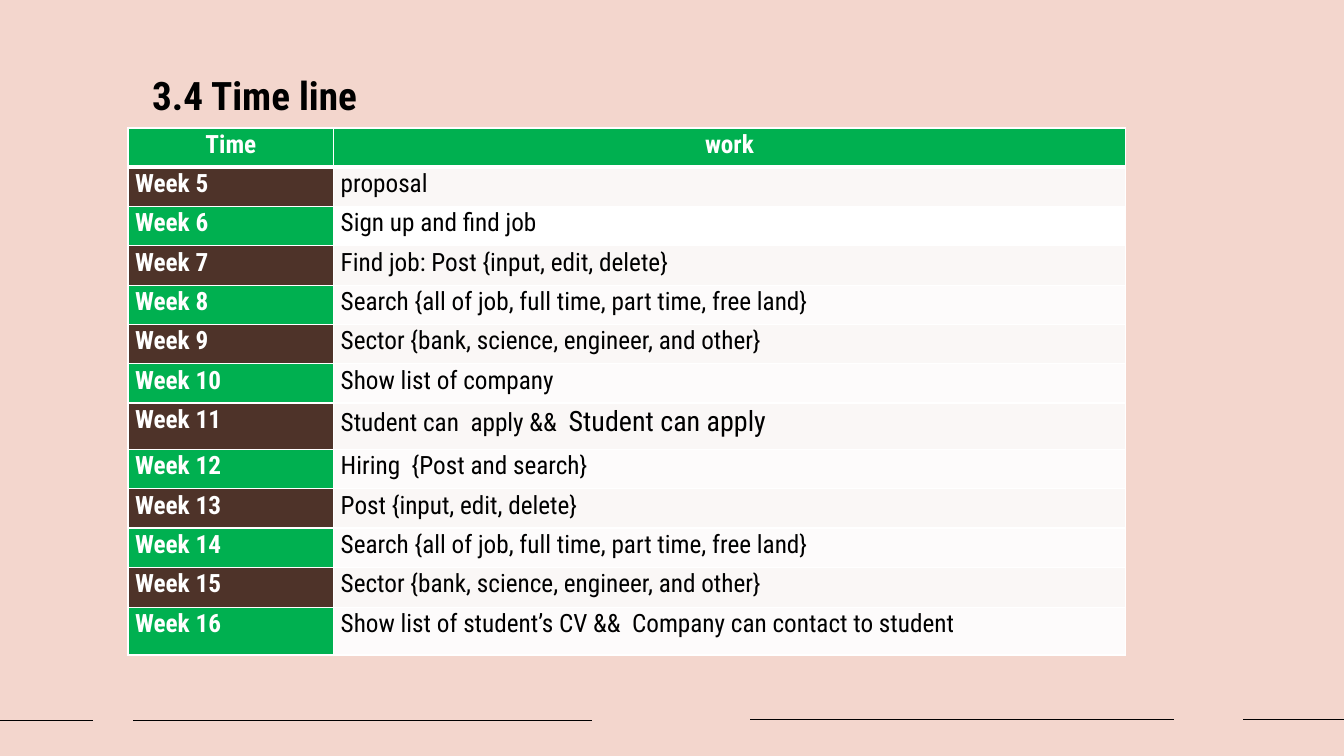
from dataclasses import dataclass

from lxml.etree import SubElement as Sub
from pptx import Presentation
from pptx.dml.color import RGBColor as RGB
from pptx.enum.shapes import MSO_CONNECTOR as Conn
from pptx.enum.text import MSO_ANCHOR as Anchor, MSO_AUTO_SIZE as Auto, PP_ALIGN as Align
from pptx.oxml.ns import qn
from pptx.util import Inches, Pt


@dataclass(frozen=True)
class Theme:
    font: str = "Roboto Condensed"
    back: str = "F3D6CD"
    black: str = "000000"
    white: str = "FFFFFF"
    green: str = "00B050"
    brown: str = "4E3329"
    odd: str = "FAF7F6"
    even: str = "FDFBFB"
    title: int = 28
    body: int = 18
    large: int = 20


@dataclass(frozen=True)
class Rule:
    left: float
    right: float
    top: float


@dataclass(frozen=True)
class Task:
    work: str
    high: float = 0.39
    fill: str = ""
    extra: str = ""  # closing words in the large size


THEME = Theme()

RULES = [
    Rule(0, 0.92, 7.15),
    Rule(1.32, 5.87, 7.15),
    Rule(7.44, 11.64, 7.14),
    Rule(12.33, 13.33, 7.14),
]

FIRST = 5
SEARCH = "Search {all of job, full time, part time, free land}"
SECTOR = "Sector {bank, science, engineer, and other}"
TASKS = [
    Task("proposal"),
    Task("Sign up and find job", fill=THEME.white),
    Task("Find job: Post {input, edit, delete}"),
    Task(SEARCH),
    Task(SECTOR),
    Task("Show list of company"),
    Task("Student can  apply &&  ", 0.46, extra="Student can apply"),
    Task("Hiring  {Post and search}"),
    Task("Post {input, edit, delete}"),
    Task(SEARCH),
    Task(SECTOR, 0.4),
    Task("Show list of student’s CV &&  Company can contact to student", 0.47),
]


def style(para, size: int, color: str, bold: bool) -> None:
    font = para.font
    font.name, font.size, font.bold = THEME.font, Pt(size), bold
    font.color.rgb = RGB.from_string(color)


def draw_rule(slide, rule: Rule) -> None:
    line = slide.shapes.add_connector(
        Conn.STRAIGHT, Inches(rule.left), Inches(rule.top), Inches(rule.right), Inches(rule.top))
    line.line.color.rgb = RGB.from_string(THEME.black)
    line.line.width = Pt(1)
    Sub(line._element.spPr, qn("a:effectLst"))


def draw_title(slide, text: str) -> None:
    title = slide.shapes.title
    title.left, title.top = Inches(1.41), Inches(0.66)
    title.width, title.height = Inches(6.61), Inches(0.57)
    frame = title.text_frame
    frame.text, frame.word_wrap = text, True
    frame.auto_size, frame.vertical_anchor = Auto.NONE, Anchor.TOP
    frame.paragraphs[0].alignment = Align.LEFT
    style(frame.paragraphs[0], THEME.title, THEME.black, True)


def edge(cell, base: int) -> None:
    props = cell._tc.get_or_add_tcPr()
    for side in "LRTB":
        width = base if side == "B" else 1
        line = Sub(props, qn(f"a:ln{side}"), w=str(Pt(width)))
        Sub(Sub(line, qn("a:solidFill")), qn("a:srgbClr"), val=THEME.white)


def fill_cell(cell, text: str, fill: str, color: str, bold: bool,
              align: Align = Align.LEFT, base: int = 1):
    edge(cell, base)
    cell.fill.solid()
    cell.fill.fore_color.rgb = RGB.from_string(fill)
    cell.margin_left = cell.margin_right = Inches(0.07)
    cell.margin_top = cell.margin_bottom = 0
    cell.text = text
    para = cell.text_frame.paragraphs[0]
    para.alignment, para.line_spacing = align, 1.07
    style(para, THEME.body, color, bold)
    return para


def draw_table(slide) -> None:
    high = 0.39 + sum(task.high for task in TASKS)
    table = slide.shapes.add_table(
        len(TASKS) + 1, 2, Inches(1.27), Inches(1.27), Inches(9.89), Inches(high)).table
    for col, width in zip(table.columns, (2.04, 7.85)):
        col.width = Inches(width)

    # Header row
    table.rows[0].height = Inches(0.39)
    for col, text in enumerate(("Time", "work")):
        fill_cell(table.cell(0, col), text, THEME.green, THEME.white, True, Align.CENTER, 3)

    # One row a week, in alternating colours
    for row, task in enumerate(TASKS, 1):
        table.rows[row].height = Inches(task.high)
        lead, band = (THEME.brown, THEME.odd) if row % 2 else (THEME.green, THEME.even)
        week = f"Week {FIRST + row - 1}"
        fill_cell(table.cell(row, 0), week, lead, THEME.white, True)
        para = fill_cell(table.cell(row, 1), task.work, task.fill or band, THEME.black, False)
        if task.extra:
            run = para.add_run()
            run.text, run.font.size = task.extra, Pt(THEME.large)


def main() -> None:
    deck = Presentation()
    deck.slide_width, deck.slide_height = Inches(13.33), Inches(7.5)
    slide = deck.slides.add_slide(deck.slide_layouts[5])
    slide.background.fill.solid()
    slide.background.fill.fore_color.rgb = RGB.from_string(THEME.back)

    for rule in RULES:
        draw_rule(slide, rule)
    draw_table(slide)
    draw_title(slide, "3.4 Time line")
    deck.save("out.pptx")


if __name__ == "__main__":
    main()
